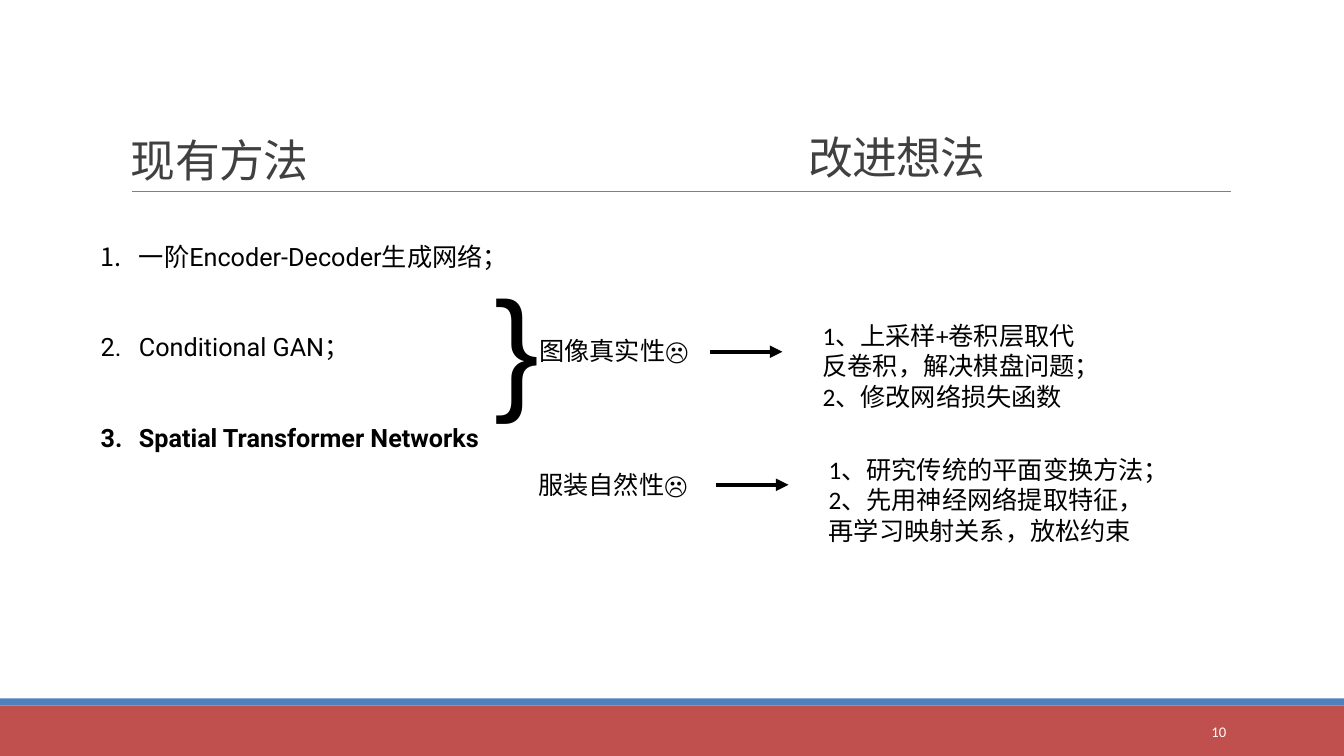
from lxml import etree
from pptx import Presentation
from pptx.dml.color import RGBColor
from pptx.enum import shapes, text
from pptx.oxml.ns import qn
from pptx.util import Inches, Pt

RED = RGBColor(0xC0, 0x50, 0x4D)
BLUE = RGBColor(0x4F, 0x81, 0xBD)
GRAY = RGBColor(0x80, 0x80, 0x80)
DARK = RGBColor(0x40, 0x40, 0x40)
BLACK = RGBColor(0, 0, 0)
WHITE = RGBColor(0xFF, 0xFF, 0xFF)

prs = Presentation()
prs.slide_width, prs.slide_height = Inches(13.33), Inches(7.5)
slide = prs.slides.add_slide(prs.slide_layouts[6])


def add_text(content, left, top, width, height, size=18, font="Roboto", color=BLACK,
             anchor=text.MSO_ANCHOR.TOP):
    box = slide.shapes.add_textbox(Inches(left), Inches(top), Inches(width), Inches(height))
    frame = box.text_frame
    frame.word_wrap = True
    frame.vertical_anchor = anchor
    frame.text = content
    for paragraph in frame.paragraphs:
        for run in paragraph.runs:
            run.font.size = Pt(size)
            run.font.name = font
            run.font.color.rgb = color
    return frame


def add_line(x1, y, x2, color, width):
    """Draw a horizontal line without a shadow."""
    line = slide.shapes.add_connector(shapes.MSO_CONNECTOR.STRAIGHT,
                                      Inches(x1), Inches(y), Inches(x2), Inches(y))
    line.line.color.rgb = color
    line.line.width = Pt(width)
    etree.SubElement(line._element.spPr, qn("a:effectLst"))
    return line


# Footer bands and title rule
for top, height, color in [(7, 0.5, RED), (6.93, 0.07, BLUE)]:
    band = slide.shapes.add_shape(shapes.MSO_SHAPE.RECTANGLE, 0, Inches(top),
                                  prs.slide_width, Inches(height))
    band.shadow.inherit = False
    band.fill.solid()
    band.fill.fore_color.rgb = color
    band.line.fill.background()
add_line(1.31, 1.9, 12.21, GRAY, 0.5)

page_number = add_text("10", 10.83, 7.06, 1.43, 0.4, 10.5, "Calibri", WHITE,
                       text.MSO_ANCHOR.MIDDLE)
page_number.paragraphs[0].alignment = text.PP_ALIGN.RIGHT

# Headings
for heading, left, top in [("现有方法", 1.2, 1.04), ("改进想法", 7.92, 1.01)]:
    frame = add_text(heading, left, top, 2.46, 0.86, 32, color=DARK,
                     anchor=text.MSO_ANCHOR.BOTTOM)
    frame.paragraphs[0].line_spacing = 0.85
    frame.paragraphs[0].runs[0]._r.get_or_add_rPr().set("spc", "-50")

# Existing methods
methods = add_text("一阶Encoder-Decoder生成网络；\nConditional GAN；\nSpatial Transformer Networks",
                   0.9, 1.74, 4.4, 2.85)
for method in methods.paragraphs:
    method.line_spacing = 3.0
    properties = method._p.get_or_add_pPr()
    properties.set("marL", str(Inches(0.38)))
    properties.set("indent", str(-Inches(0.38)))
    etree.SubElement(properties, qn("a:buFont"), typeface="+mj-lt")
    etree.SubElement(properties, qn("a:buAutoNum"), type="arabicPeriod")
methods.paragraphs[-1].runs[0].font.bold = True

add_text("}", 4.81, 2.55, 0.88, 1.72, 96, "Arial")

# Each problem leads to its improvements
rows = [
    ("图像真实性☹", 5.25, 3.28, 7.04, 3.49, 8.06, 3.13, 3.31,
     "1、上采样+卷积层取代\n反卷积，解决棋盘问题；\n2、修改网络损失函数"),
    ("服装自然性☹", 5.24, 4.61, 7.1, 4.81, 8.12, 4.46, 3.46,
     "1、研究传统的平面变换方法；\n2、先用神经网络提取特征，再学习映射关系，放松约束"),
]
for problem, left, top, arrow_x, arrow_y, idea_left, idea_top, idea_width, idea in rows:
    add_text(problem, left, top, 1.97, 0.4)
    arrow = add_line(arrow_x, arrow_y, arrow_x + 0.72, BLACK, 3)
    etree.SubElement(arrow.line._get_or_add_ln(), qn("a:tailEnd"), type="triangle")
    add_text(idea, idea_left, idea_top, idea_width, 1.01, font="Calibri")

prs.save("out.pptx")
